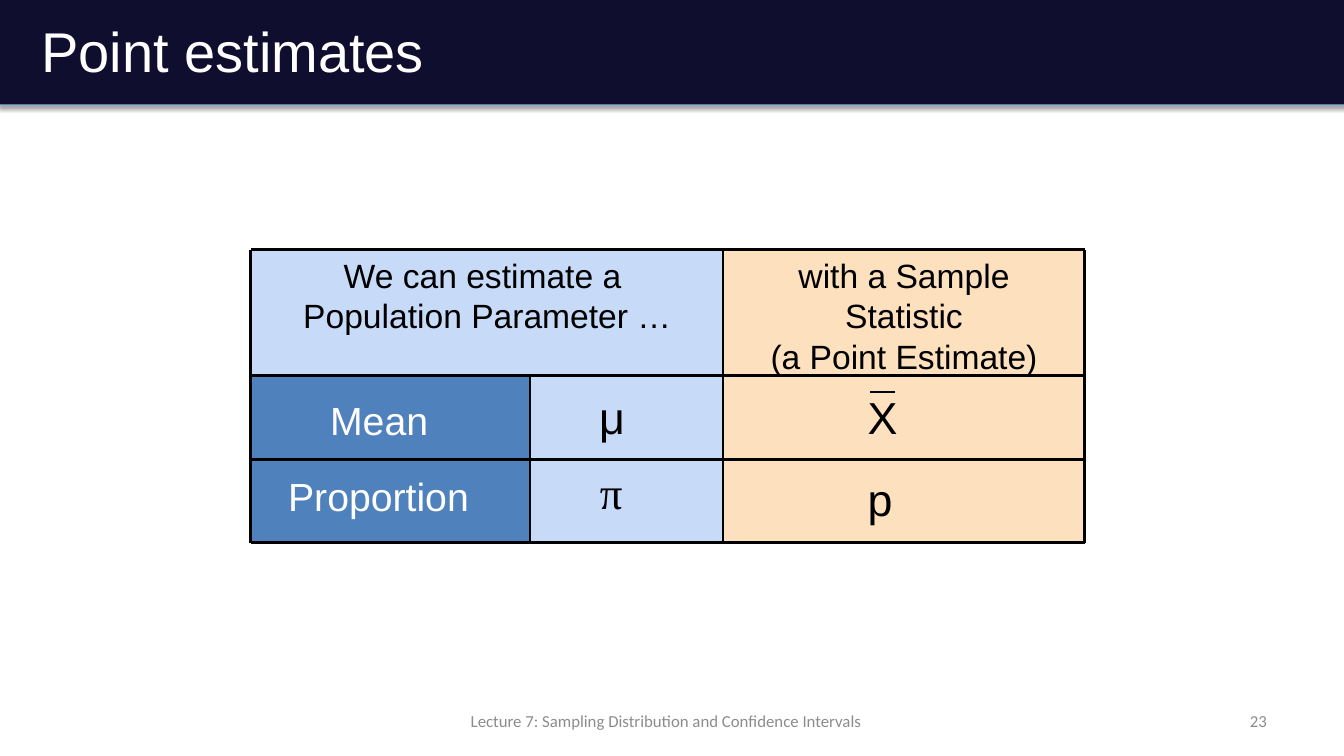
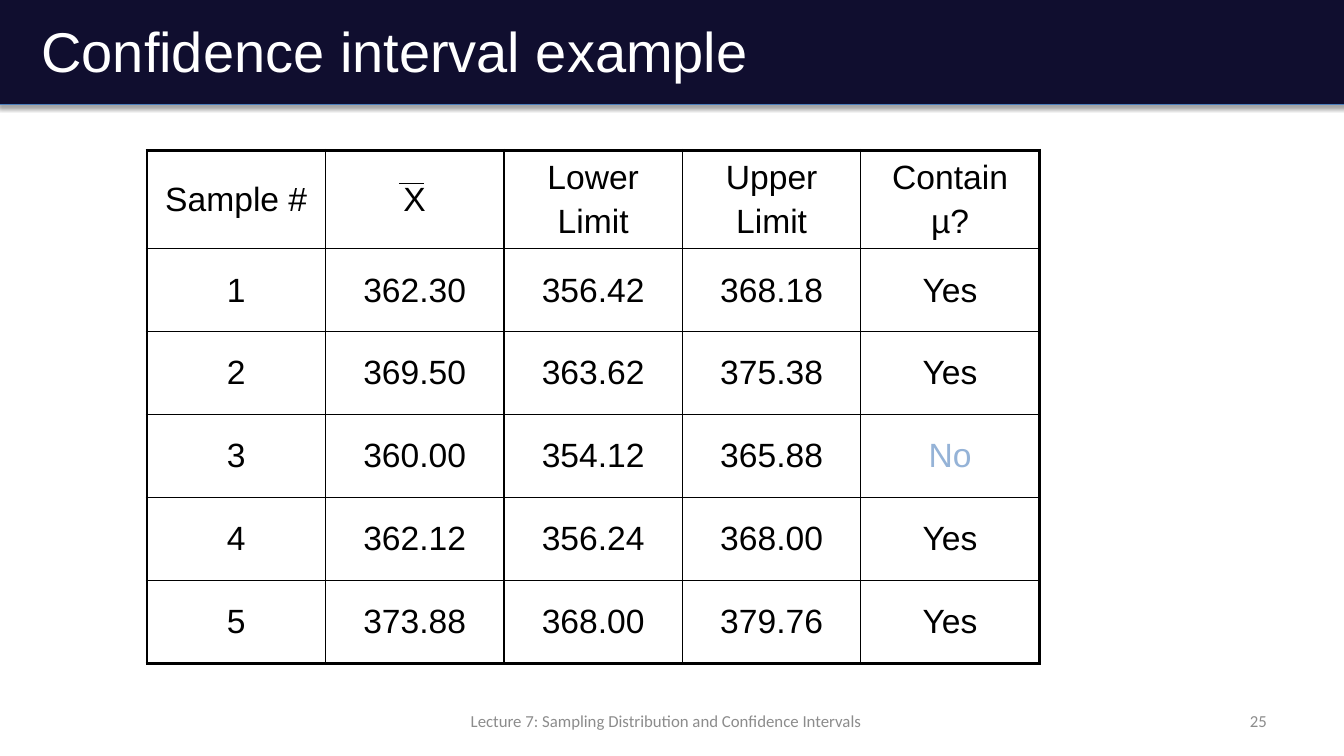
from dataclasses import dataclass

from lxml.etree import SubElement as Sub
from pptx import Presentation
from pptx.dml.color import RGBColor
from pptx.enum.shapes import MSO_CONNECTOR as Conn, MSO_SHAPE as Form
from pptx.enum.text import MSO_ANCHOR as Anchor, PP_ALIGN as Align
from pptx.oxml.ns import qn
from pptx.util import Emu, Pt

# Shared values
PX = 9525  # 96 px to the inch
WIDE, HIGH = 1280, 720
NAVY, EDGE, BLUE = "100E2F", "4B7EBC", "4F81BD"
SKY, PEACH, PALE = "C7DAF7", "FDE0BD", "95B3D7"
BLACK, WHITE, GREY = "000000", "FFFFFF", "8C8C8C"
FOOTER = "Lecture 7: Sampling Distribution and Confidence Intervals"


@dataclass(frozen=True)
class Style:
    size: int
    color: str = BLACK
    font: str = "Arial"
    align: Align = Align.LEFT
    gap: float = 0  # points between paragraphs


@dataclass(frozen=True)
class Box:
    x: int
    y: int
    w: int
    h: int

    def emu(self) -> list[Emu]:
        return [px(n) for n in (self.x, self.y, self.w, self.h)]


@dataclass(frozen=True)
class Label:
    text: str
    box: Box
    style: Style
    wrap: bool = False
    anchor: Anchor = Anchor.TOP


@dataclass(frozen=True)
class Panel:
    box: Box
    fill: str
    text: str = ""


@dataclass(frozen=True)
class Rule:
    x1: int
    y1: int
    x2: int
    y2: int
    width: float


TITLE = Style(40, WHITE)
HEAD = Style(24, align=Align.CENTER)
CELL = Style(24, align=Align.CENTER, gap=4.8)
NAME = Style(28, WHITE)
SIGN = Style(32)
NOTE = Style(12, GREY, "Calibri", Align.CENTER)
PAGE = Style(12, GREY, "Calibri", Align.RIGHT)


# Helpers
def px(n: int) -> Emu:
    return Emu(n * PX)


def rgb(code: str) -> RGBColor:
    return RGBColor.from_string(code)


def write(frame, text: str, style: Style) -> None:
    frame.text = text
    for i, para in enumerate(frame.paragraphs):
        para.alignment = style.align
        if i and style.gap:
            para.space_before = Pt(style.gap)
        font = para.font
        font.size, font.name = Pt(style.size), style.font
        font.color.rgb = rgb(style.color)


def label(slide, item: Label) -> None:
    frame = slide.shapes.add_textbox(*item.box.emu()).text_frame
    frame.word_wrap = item.wrap
    frame.vertical_anchor = item.anchor
    write(frame, item.text, item.style)


def panel(slide, item: Panel):
    shape = slide.shapes.add_shape(Form.RECTANGLE, *item.box.emu())
    shape.shadow.inherit = False
    shape.fill.solid()
    shape.fill.fore_color.rgb = rgb(item.fill)
    shape.line.fill.background()
    if item.text:
        shape.text_frame.vertical_anchor = Anchor.TOP
        write(shape.text_frame, item.text, HEAD)
    return shape


def rule(slide, item: Rule) -> None:
    ends = [px(n) for n in (item.x1, item.y1, item.x2, item.y2)]
    line = slide.shapes.add_connector(Conn.STRAIGHT, *ends)
    line.line.color.rgb = rgb(BLACK)
    line.line.width = Pt(item.width)
    Sub(line._element.spPr, qn("a:effectLst"))


def tint(parent, code: str):
    return Sub(parent, qn("a:srgbClr"), val=code)


def border(cell, sides: dict[str, float]) -> None:
    props = cell._tc.get_or_add_tcPr()
    for side, width in sides.items():
        line = Sub(props, qn(f"a:ln{side}"), w=str(Pt(width)))
        tint(Sub(line, qn("a:solidFill")), BLACK)


# Title band and footer
def band(slide) -> None:
    shape = panel(slide, Panel(Box(-1, -2, WIDE + 2, 102), NAVY))
    shape.line.color.rgb = rgb(EDGE)
    shape.line.width = Pt(0.75)
    effects = shape._element.spPr.find(qn("a:effectLst"))
    shade = Sub(effects, qn("a:outerShdw"), blurRad=str(Pt(3.1)),
                dist=str(Pt(1.8)), dir="5400000", rotWithShape="0")
    Sub(tint(shade, BLACK), qn("a:alpha"), val="35000")


def base(deck, title: str, page: int):
    slide = deck.slides.add_slide(deck.slide_layouts[6])
    band(slide)
    for text, box, style in (
        (title, Box(30, 8, 1152, 80), TITLE),
        (FOOTER, Box(280, 667, 709, 38), NOTE),
        (str(page), Box(989, 667, 227, 38), PAGE),
    ):
        label(slide, Label(text, box, style, True, Anchor.MIDDLE))
    return slide


# Point estimates
def points(deck) -> None:
    slide = base(deck, "Point estimates", 23)
    left, name, stat, right = 239, 505, 689, 1033
    top, mean, prop, foot = 238, 358, 438, 517
    head, body = mean - top, foot - mean

    for item in (
        Panel(Box(left, top, stat - left, head), SKY,
              "We can estimate a \nPopulation Parameter …"),
        Panel(Box(stat, top, right - stat, head), PEACH,
              "with a Sample\vStatistic\n(a Point Estimate)"),
        Panel(Box(left, mean, name - left, body), BLUE),
        Panel(Box(name, mean, stat - name, body), SKY),
        Panel(Box(stat, mean, right - stat, body), PEACH),
    ):
        panel(slide, item)

    for y in (top, mean, prop, foot):
        rule(slide, Rule(left, y, right, y, 2))
    for x, start, width in ((left, top, 2.25), (name, mean, 1.5),
                            (stat, top, 1.5), (right, top, 2.25)):
        rule(slide, Rule(x, start, x, foot, width))

    greek = Style(32, font="Times New Roman")
    middle = Style(32, align=Align.CENTER)
    for item in (
        Label("Mean", Box(305, 373, 114, 55), NAME),
        Label("Proportion", Box(265, 445, 194, 55), NAME),
        Label("μ", Box(551, 366, 64, 60), middle, True),
        Label("π", Box(562, 438, 40, 60), greek),
        Label("X", Box(817, 366, 47, 60), SIGN),
        Label("p", Box(817, 445, 42, 60), SIGN),
    ):
        label(slide, item)
    rule(slide, Rule(829, 373, 852, 373, 1.5))  # bar over X


# Confidence intervals
ROWS = (
    ("Sample #", "X", "Lower\nLimit", "Upper\nLimit", "Contain\nµ?"),
    ("1", "362.30", "356.42", "368.18", "Yes"),
    ("2", "369.50", "363.62", "375.38", "Yes"),
    ("3", "360.00", "354.12", "365.88", "No"),
    ("4", "362.12", "356.24", "368.00", "Yes"),
    ("5", "373.88", "368.00", "379.76", "Yes"),
)


def ranges(deck) -> None:
    slide = base(deck, "Confidence interval example", 25)
    rows, cols = len(ROWS), len(ROWS[0])
    wide, head, high = 170, 94, 79
    box = Box(140, 143, cols * wide, head + (rows - 1) * high)
    table = slide.shapes.add_table(rows, cols, *box.emu()).table
    table.first_row = table.horz_banding = False
    for col in table.columns:
        col.width = px(wide)
    faint = Style(24, PALE, align=Align.CENTER)

    for r, texts in enumerate(ROWS):
        table.rows[r].height = px(high if r else head)
        for c, text in enumerate(texts):
            cell = table.cell(r, c)
            cell.vertical_anchor = Anchor.MIDDLE
            write(cell.text_frame, text, faint if text == "No" else CELL)
            outer = {"L": c == 0, "R": c == cols - 1,
                     "T": r == 0, "B": r == rows - 1}
            border(cell, {s: 2.25 if edge else 1 for s, edge in outer.items()})
            cell.fill.background()
    rule(slide, Rule(380, 175, 404, 175, 0.75))  # bar over X


def main() -> None:
    deck = Presentation()
    deck.slide_width, deck.slide_height = px(WIDE), px(HIGH)
    points(deck)
    ranges(deck)
    deck.save("out.pptx")


if __name__ == "__main__":
    main()
